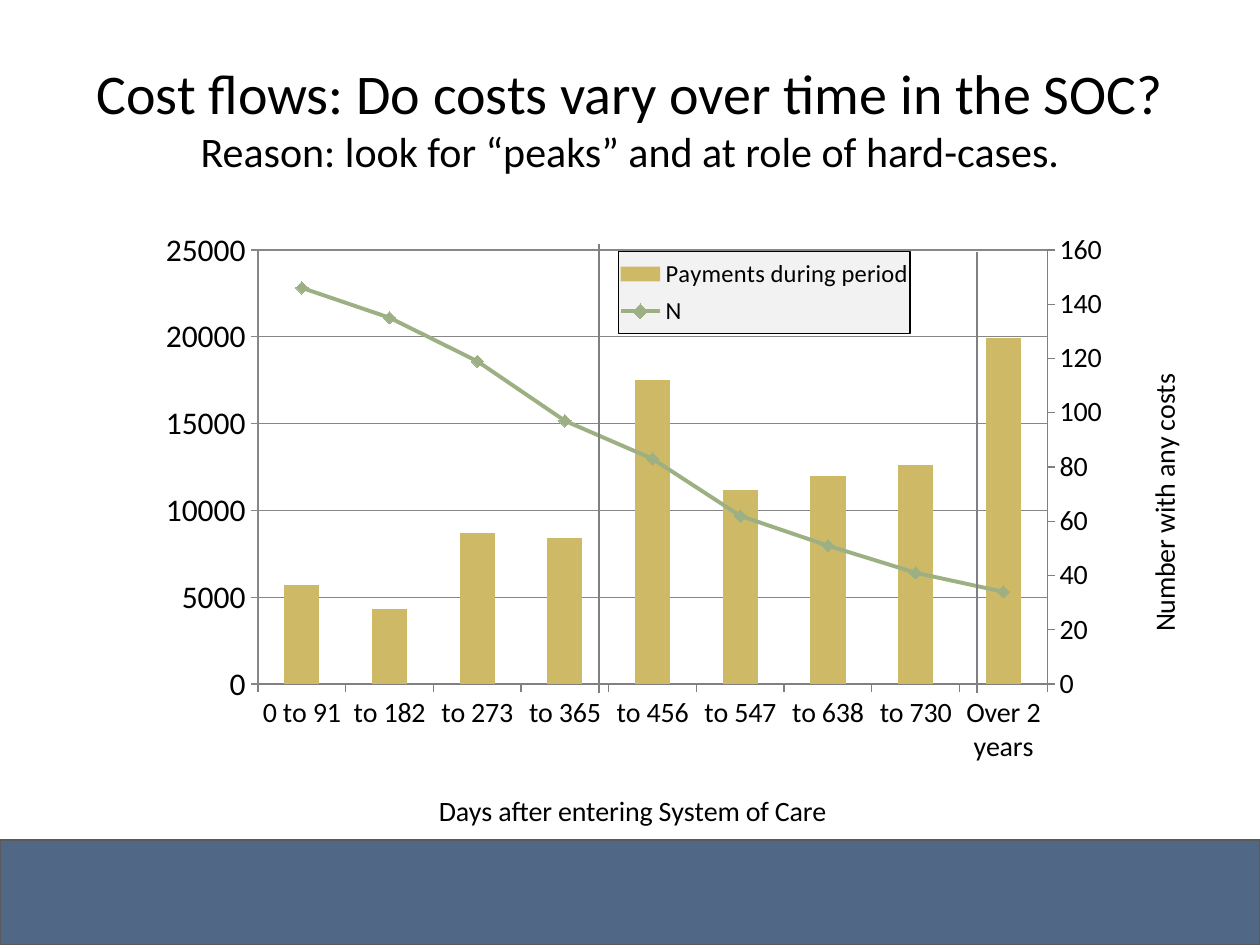
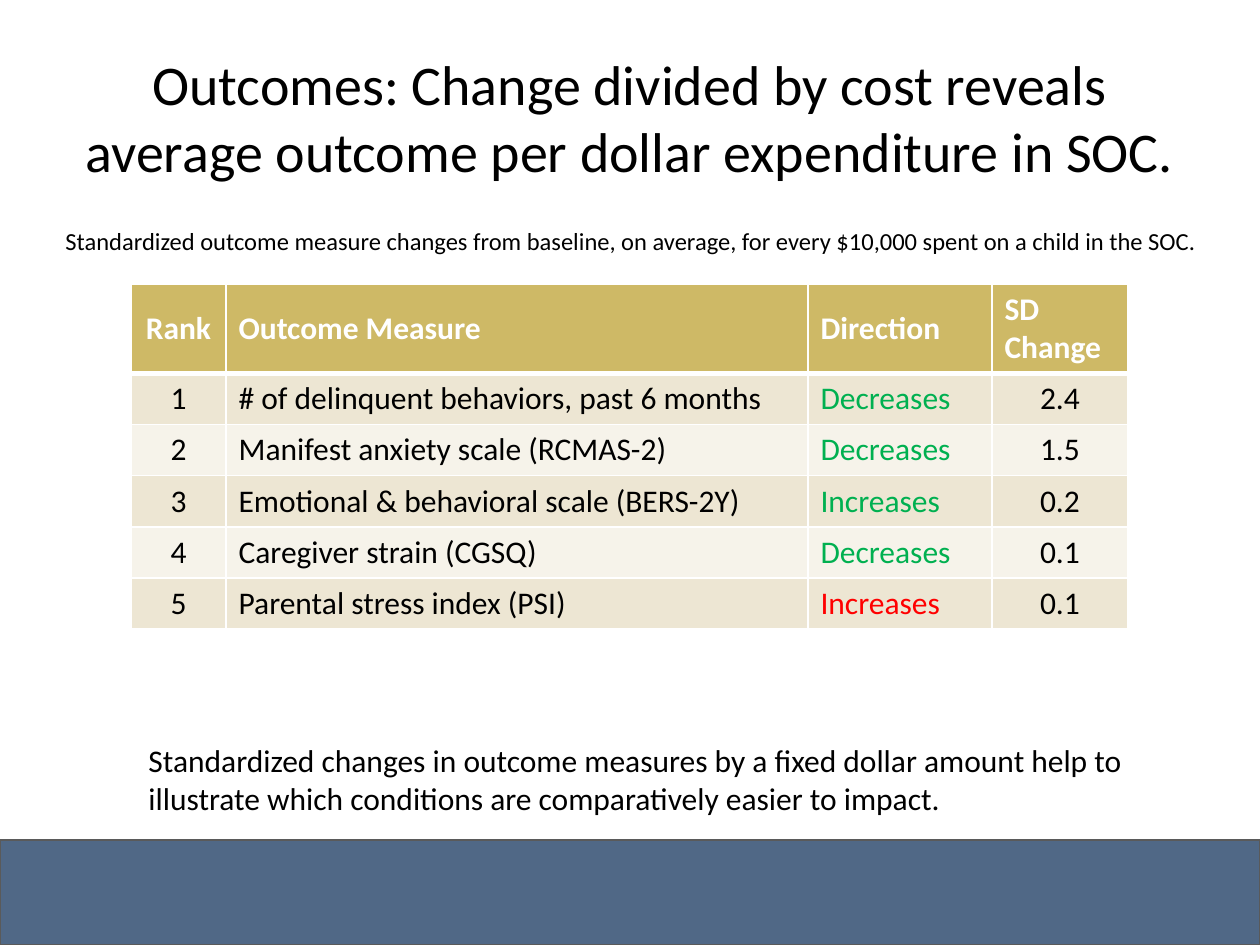
from copy import deepcopy
from dataclasses import dataclass

from lxml import etree
from pptx import Presentation
from pptx import util as u
from pptx.chart import axis as ax
from pptx.chart import data as cd
from pptx.dml import color, line
from pptx.enum import chart as ec
from pptx.enum import shapes, text
from pptx.oxml import parse_xml
from pptx.oxml.ns import nsdecls, qn

EMU_PER_PX = 914400 / 126
FONT = "Calibri"
COLORS = {
    "black": "000000", "white": "FFFFFF", "band": "506886", "band_edge": "5A5A5A",
    "gold": "CEB966", "sage": "9CB084", "gray": "808080", "legend": "F2F2F2",
    "row_dark": "EDE6D3", "row_light": "F6F3EA", "good": "00B050", "bad": "FF0000",
}


@dataclass(frozen=True)
class Box:
    left: int
    top: int
    width: int
    height: int

    def emu(self) -> tuple:
        return tuple(map(px, (self.left, self.top, self.width, self.height)))


@dataclass(frozen=True)
class Note:
    box: Box
    wording: str
    size: int


@dataclass(frozen=True)
class Outcome:
    measure: str
    direction: str
    change: str
    tone: str = "good"


TITLE = Box(63, 38, 1134, 158)
BAND = Box(0, 840, 1260, 105)
CHART = Box(63, 220, 1134, 624)
PLOT = Box(258, 250, 789, 434)
LEGEND = Box(619, 252, 292, 82)
DIVIDERS = ((599, 244), (977, 252))
DIVIDER_FOOT = 693

PERIODS = ("0 to 91", "to 182", "to 273", "to 365", "to 456",
           "to 547", "to 638", "to 730", "Over 2 years")
PAYMENTS = (5700, 4300, 8700, 8400, 17500, 11200, 12000, 12600, 19900)
CHILDREN = (146, 135, 119, 97, 83, 62, 51, 41, 34)

TABLE_LEFT, TABLE_TOP, ROW_HEIGHT = 131, 284, 51
COLUMNS = (95, 582, 184, 136)
HEADINGS = ("Rank", "Outcome Measure", "Direction", "SD Change")
OUTCOMES = (
    Outcome("# of delinquent behaviors, past 6 months", "Decreases", "2.4"),
    Outcome("Manifest anxiety scale (RCMAS-2)", "Decreases", "1.5"),
    Outcome("Emotional & behavioral scale (BERS-2Y)", "Increases", "0.2"),
    Outcome("Caregiver strain (CGSQ)", "Decreases", "0.1"),
    Outcome("Parental stress index (PSI)", "Increases", "0.1", "bad"),
)
NOTES = (
    Note(Box(53, 220, 1176, 43),
         "Standardized outcome measure changes from baseline, on average, "
         "for every $10,000 spent on a child in the SOC.", 14),
    Note(Box(136, 735, 1040, 89),
         "Standardized changes in outcome measures by a fixed dollar amount help to "
         "illustrate which conditions are comparatively easier to impact.", 18),
)


def px(length: float) -> u.Emu:
    return u.Emu(round(length * EMU_PER_PX))


def rgb(name: str) -> color.RGBColor:
    return color.RGBColor.from_string(COLORS[name])


def set_font(font, size: int, ink: str = "black", bold: bool = False) -> None:
    font.name, font.size, font.bold = FONT, u.Pt(size), bold
    font.color.rgb = rgb(ink)


def set_fill(fill, name: str) -> None:
    fill.solid()
    fill.fore_color.rgb = rgb(name)


def set_line(stroke: line.LineFormat, name: str, points: float = 0.75) -> None:
    set_fill(stroke.fill, name)
    stroke.width = u.Pt(points)


def add_titled_slide(deck, heading: str, reason: str = ""):
    slide = deck.slides.add_slide(deck.slide_layouts[5])
    title = slide.shapes.title
    title.left, title.top, title.width, title.height = TITLE.emu()
    title.text_frame.vertical_anchor = text.MSO_ANCHOR.MIDDLE
    paragraph = title.text_frame.paragraphs[0]
    paragraph.alignment = text.PP_ALIGN.CENTER
    paragraph.line_spacing = 1.0
    paragraph.add_run().text = heading
    if reason:
        paragraph.add_line_break()
        paragraph.add_run().text = reason
    for run, size in zip(paragraph.runs, (32, 24)):
        set_font(run.font, size)
    return slide


def move_band_to_master(deck, slide) -> None:
    band = slide.shapes.add_shape(shapes.MSO_SHAPE.RECTANGLE, *BAND.emu())
    band.shadow.inherit = False
    set_fill(band.fill, "band")
    set_line(band.line, "band_edge")
    deck.slide_master.shapes.element.insert(2, band.element)


def place_in_chart(part, index: int, left: int, top: int, size: tuple = ()) -> None:
    for layout in part.findall(qn("c:layout")):
        part.remove(layout)
    target = '<c:layoutTarget val="inner"/>' if part.tag == qn("c:plotArea") else ""
    fractions = {"x": (left - CHART.left) / CHART.width, "y": (top - CHART.top) / CHART.height}
    if size:
        fractions |= {"w": size[0] / CHART.width, "h": size[1] / CHART.height}
    modes = "".join(f'<c:{key}Mode val="edge"/>' for key in "xy")
    values = "".join(f'<c:{key} val="{value:.3f}"/>' for key, value in fractions.items())
    part.insert(index, parse_xml(
        f'<c:layout {nsdecls("c")}><c:manualLayout>{target}{modes}{values}'
        "</c:manualLayout></c:layout>"))


def framed_properties(fill: str):
    return parse_xml(
        f'<c:spPr {nsdecls("c", "a")}><a:solidFill><a:srgbClr val="{COLORS[fill]}"/></a:solidFill>'
        f'<a:ln w="9525"><a:solidFill><a:srgbClr val="{COLORS["gray" if fill == "white" else "black"]}"/>'
        "</a:solidFill></a:ln></c:spPr>")


def style_axis(axis, caption: str, left: int, top: int) -> None:
    axis.has_title = True
    axis.axis_title.text_frame.text = caption
    set_font(axis.axis_title.text_frame.paragraphs[0].runs[0].font, 16)
    place_in_chart(axis.axis_title._element, 1, left, top)
    axis.major_tick_mark = ec.XL_TICK_MARK.OUTSIDE
    axis.minor_tick_mark = ec.XL_TICK_MARK.NONE
    set_font(axis.tick_labels.font, 16)
    set_line(axis.format.line, "gray")


def scale_axis(axis, top: int, step: int, number_format: str) -> None:
    axis.minimum_scale, axis.maximum_scale, axis.major_unit = 0, top, step
    axis.tick_labels.number_format = number_format
    axis.tick_labels.number_format_is_linked = False


def split_off_count_line(chart) -> ax.ValueAxis:
    plot_area = chart._chartSpace.chart.plotArea
    bars = plot_area.find(qn("c:barChart"))
    count = bars.findall(qn("c:ser"))[1]
    for flag in count.findall(qn("c:invertIfNegative")):
        count.remove(flag)
    lines = parse_xml(
        f'<c:lineChart {nsdecls("c")}><c:grouping val="standard"/><c:varyColors val="0"/>'
        '<c:marker val="1"/><c:axId val="501"/><c:axId val="502"/></c:lineChart>')
    lines.insert(2, count)
    bars.addnext(lines)

    periods = plot_area.find(qn("c:catAx"))
    costs = plot_area.find(qn("c:valAx"))
    hidden_periods, counts = deepcopy(periods), deepcopy(costs)
    costs.addnext(counts)
    counts.addnext(hidden_periods)
    for copied, own, crossed in ((hidden_periods, "501", "502"), (counts, "502", "501")):
        copied.find(qn("c:axId")).set("val", own)
        copied.find(qn("c:crossAx")).set("val", crossed)
    hidden_periods.find(qn("c:delete")).set("val", "1")
    counts.find(qn("c:axPos")).set("val", "r")
    counts.find(qn("c:crosses")).set("val", "max")
    return ax.ValueAxis(counts)


def add_cost_chart(slide) -> None:
    flows = cd.CategoryChartData()
    flows.categories = PERIODS
    flows.add_series("Payments during period", PAYMENTS)
    flows.add_series("N", CHILDREN)
    chart = slide.shapes.add_chart(
        ec.XL_CHART_TYPE.COLUMN_CLUSTERED, *CHART.emu(), flows).chart
    chart.has_title = False
    set_font(chart.font, 18)

    count_axis = split_off_count_line(chart)
    count_axis.has_major_gridlines = False
    cost_axis = chart.value_axis
    cost_axis.has_major_gridlines = True
    set_line(cost_axis.major_gridlines.format.line, "gray")
    style_axis(chart.category_axis, "Days after entering System of Care", 434, 787)
    style_axis(cost_axis, "Average cost", 98, 425)
    style_axis(count_axis, "Number with any costs", 1140, 369)
    scale_axis(cost_axis, 25000, 5000, '"$"#,##0')
    scale_axis(count_axis, 160, 20, "General")

    bars, lines = chart.plots
    bars.gap_width, bars.vary_by_categories = 150, False
    set_fill(bars.series[0].format.fill, "gold")
    count = lines.series[0]
    count.smooth = False
    set_line(count.format.line, "sage", 2.25)
    count.marker.style, count.marker.size = ec.XL_MARKER_STYLE.DIAMOND, 7
    set_fill(count.marker.format.fill, "sage")
    set_line(count.marker.format.line, "sage")

    chart.has_legend = True
    legend = chart.legend
    legend.position = ec.XL_LEGEND_POSITION.LEFT
    legend.include_in_layout = True
    set_font(legend.font, 14)
    key = legend._element
    place_in_chart(key, 1, LEGEND.left, LEGEND.top, (LEGEND.width, LEGEND.height))
    key.find(qn("c:txPr")).addprevious(framed_properties("legend"))
    plot_area = chart._chartSpace.chart.plotArea
    place_in_chart(plot_area, 0, PLOT.left, PLOT.top, (PLOT.width, PLOT.height))
    plot_area.append(framed_properties("white"))


def add_divider(slide, x: int, top: int) -> None:
    divider = slide.shapes.add_connector(
        shapes.MSO_CONNECTOR.STRAIGHT, px(x), px(DIVIDER_FOOT), px(x), px(top))
    set_line(divider.line, "gray")
    etree.SubElement(divider.element.spPr, qn("a:effectLst"))


def border_cell(cell, bottom: int) -> None:
    properties = cell._tc.get_or_add_tcPr()
    for index, (side, points) in enumerate(zip("LRTB", (1, 1, 1, bottom))):
        properties.insert(index, parse_xml(
            f'<a:ln{side} {nsdecls("a")} w="{u.Pt(points)}"><a:solidFill>'
            f'<a:srgbClr val="{COLORS["white"]}"/></a:solidFill></a:ln{side}>'))


def fill_row(table, row: int, wording: tuple, fill: str, inks: tuple) -> None:
    header = row == 0
    for column, (words, ink) in enumerate(zip(wording, inks)):
        cell = table.cell(row, column)
        cell.text = words
        paragraph = cell.text_frame.paragraphs[0]
        set_font(paragraph.font, 18, ink, header)
        if column == 0 or (column == 3 and not header):
            paragraph.alignment = text.PP_ALIGN.CENTER
        if header:
            cell.vertical_anchor = text.MSO_ANCHOR.MIDDLE
        set_fill(cell.fill, fill)
        border_cell(cell, 3 if header else 1)


def add_outcome_table(slide) -> None:
    rows = len(OUTCOMES) + 1
    frame = Box(TABLE_LEFT, TABLE_TOP, sum(COLUMNS), ROW_HEIGHT * rows)
    table = slide.shapes.add_table(rows, len(COLUMNS), *frame.emu()).table
    for column, width in zip(table.columns, COLUMNS):
        column.width = px(width)
    fill_row(table, 0, HEADINGS, "gold", ("white",) * 4)
    for rank, outcome in enumerate(OUTCOMES, 1):
        fill_row(table, rank, (str(rank), outcome.measure, outcome.direction, outcome.change),
                 "row_dark" if rank % 2 else "row_light",
                 ("black", "black", outcome.tone, "black"))


def add_note(slide, note: Note) -> None:
    frame = slide.shapes.add_textbox(*note.box.emu()).text_frame
    frame.word_wrap = True
    frame.auto_size = text.MSO_AUTO_SIZE.SHAPE_TO_FIT_TEXT
    frame.text = note.wording
    set_font(frame.paragraphs[0].font, note.size)


def main() -> None:
    deck = Presentation()
    deck.slide_width, deck.slide_height = px(1260), px(945)

    costs = add_titled_slide(deck, "Cost flows: Do costs vary over time in the SOC?",
                             "Reason: look for “peaks” and at role of hard-cases.")
    move_band_to_master(deck, costs)
    add_cost_chart(costs)
    for x, top in DIVIDERS:
        add_divider(costs, x, top)

    outcomes = add_titled_slide(deck, "Outcomes: Change divided by cost reveals "
                                      "average outcome per dollar expenditure in SOC.")
    add_outcome_table(outcomes)
    for note in NOTES:
        add_note(outcomes, note)
    deck.save("out.pptx")


if __name__ == "__main__":
    main()
